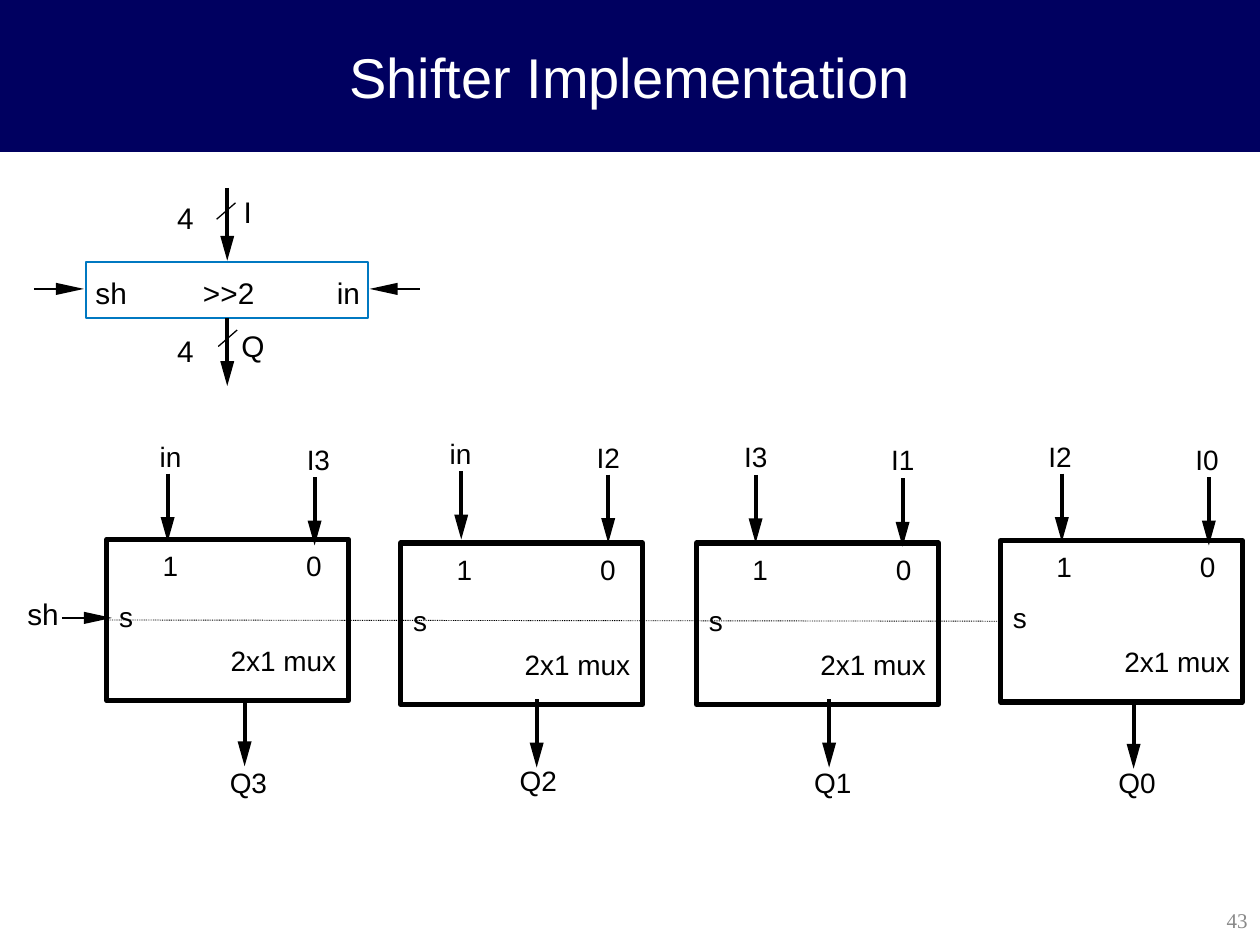
from lxml import etree
from pptx import Presentation
from pptx.dml.color import RGBColor
from pptx.enum.dml import MSO_LINE
from pptx.enum.shapes import MSO_CONNECTOR, MSO_SHAPE
from pptx.enum.text import MSO_ANCHOR, MSO_AUTO_SIZE, PP_ALIGN
from pptx.oxml.ns import qn
from pptx.util import Pt

RECT = MSO_SHAPE.RECTANGLE
STRAIGHT = MSO_CONNECTOR.STRAIGHT
DOTS = MSO_LINE.ROUND_DOT
MIDDLE, BOTTOM = MSO_ANCHOR.MIDDLE, MSO_ANCHOR.BOTTOM
GROW = MSO_AUTO_SIZE.SHAPE_TO_FIT_TEXT
LEFT, MID, RIGHT = PP_ALIGN.LEFT, PP_ALIGN.CENTER, PP_ALIGN.RIGHT

COLORS = {"navy": "000060", "white": "FFFFFF", "black": "000000",
          "blue": "0078C1", "gray": "898989"}
MUX_W, MUX_H = 138.2, 92.2
GAP = 84  # from a "1" input to its "0" input

# box corner, "1" arrow tail, output arrow tail, "1" label corner,
# label width, then the "1", "0" and output names
MUXES = [
    ((61, 308.2), (95.8, 270.7), (139.8, 398.9), (84.2, 247.7), 46,
     ("in", "I3", "Q3")),
    ((229, 310.3), (263.6, 269.3), (306.7, 399.6), (249.9, 246.2), 41,
     ("in", "I2", "Q2")),
    ((398, 310.3), (431.8, 271.4), (473.8, 399.6), (418.2, 247.7), 41,
     ("I3", "I1", "Q1")),
    ((571.7, 308.9), (606.8, 270.7), (647.8, 400.3), (592, 247.7), 41,
     ("I2", "I0", "Q0")),
]


def paint(name):
    return RGBColor.from_string(COLORS[name])


def style(frame, size, color="black", align=LEFT, font="Arial"):
    para = frame.paragraphs[0]
    para.alignment = align
    for run in para.runs:
        run.font.name = font
        run.font.size = Pt(size)
        run.font.color.rgb = paint(color)


def add_box(slide, x, y, w, h, line, width, fill=None):
    box = slide.shapes.add_shape(RECT, Pt(x), Pt(y), Pt(w), Pt(h))
    box.shadow.inherit = False
    box.line.color.rgb = paint(line)
    box.line.width = Pt(width)
    if fill:
        box.fill.solid()
        box.fill.fore_color.rgb = paint(fill)
    else:
        box.fill.background()
    return box


def add_label(slide, text, x, y, w, h=26.6):
    """Add a 16 pt label with the usual insets."""
    box = slide.shapes.add_textbox(Pt(x), Pt(y), Pt(w), Pt(h))
    frame = box.text_frame
    frame.text = text
    frame.word_wrap = True
    frame.auto_size = GROW
    style(frame, 16)
    return frame


def add_tag(slide, text, x, y, w):
    """Add a 17 pt label without insets."""
    frame = add_label(slide, text, x, y, w, 20)
    frame.margin_left = frame.margin_right = 0
    frame.margin_top = frame.margin_bottom = 0
    frame.word_wrap = False
    style(frame, 17)


def add_line(slide, start, end, width):
    ends = [Pt(v) for v in (*start, *end)]
    line = slide.shapes.add_connector(STRAIGHT, *ends)
    line.line.color.rgb = paint("black")
    line.line.width = Pt(width)
    etree.SubElement(line._element.spPr, qn("a:effectLst"))
    return line


def add_head(slide, tip, left, right):
    points = [(Pt(x), Pt(y)) for x, y in (tip, left, right)]
    form = slide.shapes.build_freeform(*points[0], scale=1.0)
    form.add_line_segments(points[1:], close=True)
    head = form.convert_to_shape()
    head.shadow.inherit = False
    head.fill.solid()
    head.fill.fore_color.rgb = paint("black")
    head.line.fill.background()


def add_down(slide, x, y, size=39):
    """Add a downward arrow with its tail at x, y."""
    tip = y + size
    line = add_line(slide, (x, y), (x, tip - 12), 2.25)
    add_head(slide, (x, tip), (x + 4, tip - 14.2), (x - 4, tip - 14.2))
    return line


def add_side(slide, y, tail, tip):
    """Add a level arrow, pointing either way."""
    sign = 1 if tip > tail else -1
    back = tip - 16 * sign
    add_line(slide, (tail, y), (tip - 10 * sign, y), 1.5)
    add_head(slide, (tip, y), (back, y - 3.5), (back, y + 3.5))


def add_title(slide):
    banner = add_box(slide, 0, 0, 720, 86.6, "navy", 0.75, "navy")
    slide.shapes._spTree.insert(2, banner._element)
    title = slide.shapes.title
    title.left, title.top = Pt(0), Pt(0)
    title.width, title.height = Pt(720), Pt(86.6)
    title.text_frame.text = "Shifter Implementation"
    title.text_frame.vertical_anchor = MIDDLE
    style(title.text_frame, 32, "white", MID)


def add_symbol(slide):
    """Draw the shifter block with its ports."""
    box = add_box(slide, 49.2, 149.8, 161.4, 31.8, "blue", 1.13)
    for text, x, y, w in (("sh", 54.5, 157, 18), (">>2", 116, 157, 29.5),
                          ("in", 192.5, 157, 13.5), ("4", 101.2, 114, 9.5),
                          ("I", 139.2, 111, 28), ("4", 101.2, 190, 9.5),
                          ("Q", 138, 187.5, 25)):
        add_tag(slide, text, x, y, w)
    add_down(slide, 129.9, 107.3, 41.7)
    add_down(slide, 129.9, 181.6).begin_connect(box, 2)
    add_side(slide, 165.1, 19.4, 48)
    add_side(slide, 165.1, 239.8, 211.2)
    for x, y in ((123.8, 125.3), (124.7, 198)):
        add_line(slide, (x, y), (x + 10.8, y - 9.4), 0.75)


def add_mux(slide, box, feed, out, label, wide, names):
    x, y = box
    mux = add_box(slide, x, y, MUX_W, MUX_H, "black", 3)
    frame = mux.text_frame
    frame.text = "2x1 mux"
    frame.vertical_anchor = BOTTOM
    frame.margin_bottom = Pt(13.5)
    style(frame, 16, align=RIGHT)
    add_label(slide, "0", x + 106.9, y + 1.8, 41)
    add_label(slide, "1", x + 24.9, y + 1.8, 41)
    add_label(slide, "s", x, y + 31, 54.7)

    x, y = label
    spots = ((x, y), (x + GAP, y + 1.9), (x + 40, y + 186.3))
    for name, spot in zip(names, spots):
        add_label(slide, name, *spot, wide)
    add_down(slide, *feed)
    add_down(slide, feed[0] + GAP, feed[1] + 2)
    add_down(slide, *out)
    return mux


def add_number(slide):
    frame = add_label(slide, "43", 567.4, 511.2, 152.6, 28.8)
    frame.auto_size = MSO_AUTO_SIZE.NONE
    frame.vertical_anchor = MIDDLE
    style(frame, 12, "gray", RIGHT, "Times New Roman")


def main():
    deck = Presentation()
    deck.slide_width, deck.slide_height = Pt(720), Pt(540)
    slide = deck.slides.add_slide(deck.slide_layouts[5])
    add_title(slide)
    add_number(slide)
    add_symbol(slide)

    muxes = [add_mux(slide, *row) for row in MUXES]
    add_tag(slide, "sh", 15.6, 340.6, 18)
    add_side(slide, 353.1, 35.3, 64)
    select = add_line(slide, (61, 353), (571.7, 353.5), 0.5)
    select.line.dash_style = DOTS
    select.begin_connect(muxes[0], 1)
    select.end_connect(muxes[-1], 1)
    deck.save("out.pptx")


if __name__ == "__main__":
    main()
